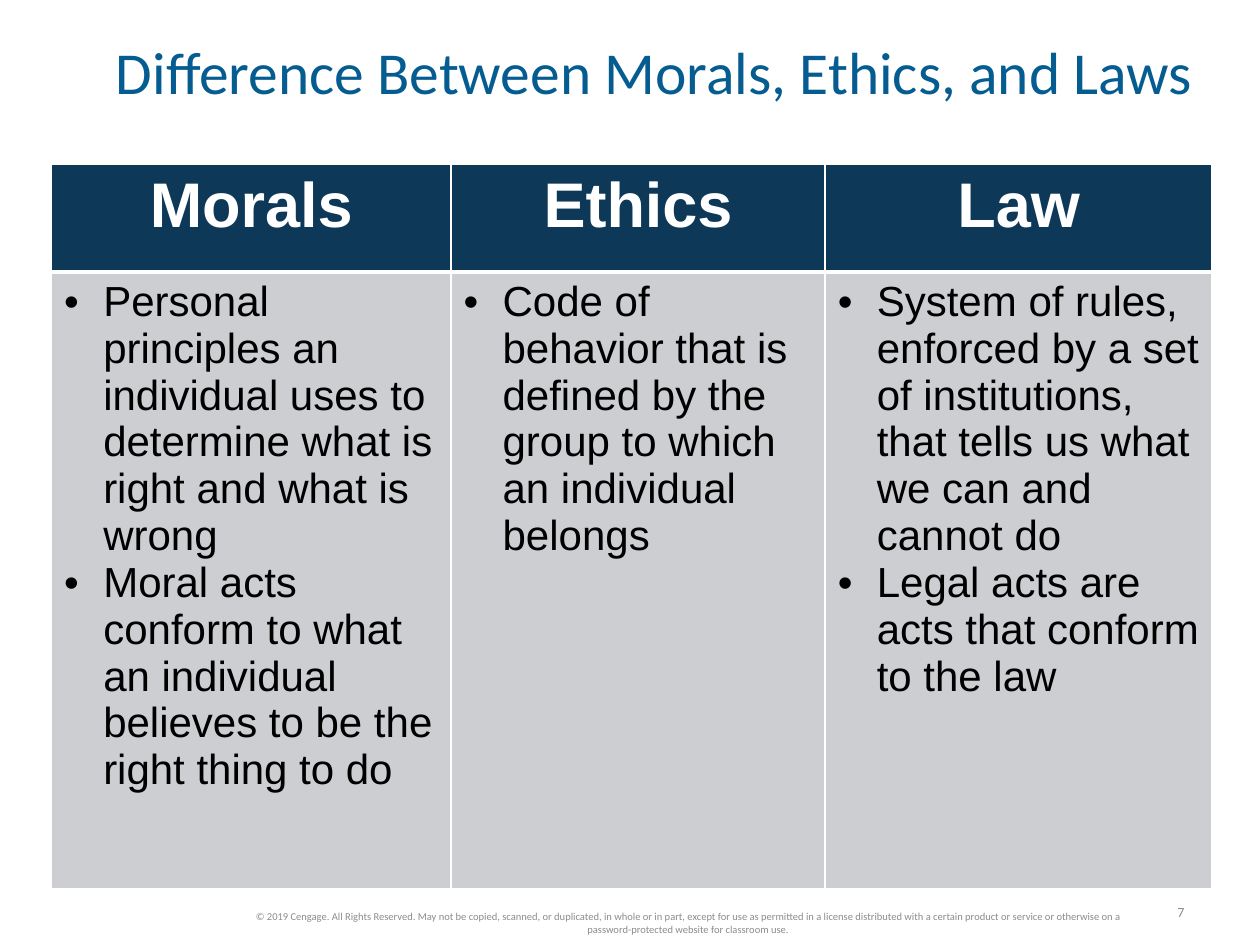
from lxml import etree
from pptx import Presentation
from pptx.dml.color import RGBColor
from pptx.enum.text import MSO_ANCHOR, PP_ALIGN
from pptx.oxml.ns import qn
from pptx.util import Inches, Pt

LEFT, CENTER, RIGHT = PP_ALIGN.LEFT, PP_ALIGN.CENTER, PP_ALIGN.RIGHT
MIDDLE = MSO_ANCHOR.MIDDLE
NAVY, PALE, WHITE, BLACK = "0D3857", "CCCED1", "FFFFFF", "000000"
BLUE, GRAY = "055C91", "8C8C8C"
COLUMN_WIDTHS = [3.17, 2.97, 3.07]
ROW_HEIGHTS = [0.86, 4.89]
CONCEPTS = {
    "Morals": [
        "Personal principles an individual uses to determine what is right and what is wrong",
        "Moral acts conform to what an individual believes to be the right thing to do",
    ],
    "Ethics": [
        "Code of behavior that is defined by the group to which an individual belongs",
    ],
    "Law": [
        "System of rules, enforced by a set of institutions, that tells us what we can and cannot do",
        "Legal acts are acts that conform to the law",
    ],
}
COPYRIGHT = (
    "© 2019 Cengage. All Rights Reserved. May not be copied, scanned, or duplicated, "
    "in whole or in part, except for use as permitted in a license distributed with a "
    "certain product or service or otherwise on a password-protected website for classroom use."
)


def color(value):
    """Return the colour for a hex string."""
    return RGBColor.from_string(value)


def format_para(para, size, font, hex_color, align=LEFT, bold=False):
    """Align a paragraph and style its runs."""
    para.alignment = align
    for span in para.runs:
        span.font.size = Pt(size)
        span.font.name = font
        span.font.bold = bold
        span.font.color.rgb = color(hex_color)


def add_text(page, text, bounds, size, hex_color, align=LEFT, wrap=True, margins=None):
    """Add a vertically centred Calibri text box and return its paragraph."""
    box = page.shapes.add_textbox(*map(Inches, bounds))
    frame = box.text_frame
    frame.text = text
    frame.word_wrap = wrap
    frame.vertical_anchor = MIDDLE
    if margins is not None:
        frame.margin_left = frame.margin_right = Inches(margins)
        frame.margin_top = frame.margin_bottom = Inches(margins)
    para = frame.paragraphs[0]
    format_para(para, size, "Calibri", hex_color, align)
    return para


def add_bullet(para):
    """Give a paragraph a hanging round bullet."""
    properties = para._p.get_or_add_pPr()
    properties.set("marL", str(Inches(0.31)))
    properties.set("indent", str(-Inches(0.31)))
    etree.SubElement(properties, qn("a:buFont")).set("typeface", "Arial")
    etree.SubElement(properties, qn("a:buChar")).set("char", "•")


def style_cell(cell, fill, top=1, bottom=1):
    """Fill a cell and draw its white borders."""
    cell.fill.solid()
    cell.fill.fore_color.rgb = color(fill)
    properties = cell._tc.get_or_add_tcPr()
    widths = {"a:lnL": 1, "a:lnR": 1, "a:lnT": top, "a:lnB": bottom}
    for index, (side, width) in enumerate(widths.items()):
        line = etree.Element(qn(side), w=str(Pt(width)))
        solid = etree.SubElement(line, qn("a:solidFill"))
        etree.SubElement(solid, qn("a:srgbClr")).set("val", WHITE)
        properties.insert(index, line)


def add_comparison(page):
    """Add the table with one column for each concept."""
    bounds = (0.41, 1.3, sum(COLUMN_WIDTHS), sum(ROW_HEIGHTS))
    table = page.shapes.add_table(2, len(CONCEPTS), *map(Inches, bounds)).table
    table.horz_banding = False
    for row, height in zip(table.rows, ROW_HEIGHTS):
        row.height = Inches(height)
    for index, (concept, points) in enumerate(CONCEPTS.items()):
        table.columns[index].width = Inches(COLUMN_WIDTHS[index])
        heading, body = table.cell(0, index), table.cell(1, index)
        heading.text_frame.text = concept
        format_para(heading.text_frame.paragraphs[0], 36, "Arial", WHITE, CENTER, True)
        style_cell(heading, NAVY, bottom=3)
        body.text_frame.text = "\n".join(points)
        for para in body.text_frame.paragraphs:
            add_bullet(para)
            format_para(para, 24, "Arial", BLACK)
        style_cell(body, PALE, top=3)


def main():
    """Build and save the slide."""
    deck = Presentation()
    deck.slide_width, deck.slide_height = Inches(10), Inches(7.5)
    page = deck.slides.add_slide(deck.slide_layouts[6])
    add_text(page, "7", (9.16, 7.12, 0.34, 0.24), 8, GRAY, RIGHT, wrap=False)
    add_comparison(page)
    title = add_text(page, "Difference Between Morals, Ethics, and Laws",
                     (0.92, 0.36, 8.69, 0.49), 34, BLUE, margins=0)
    title.line_spacing = 0.85
    add_text(page, COPYRIGHT, (1.75, 7.19, 7.42, 0.27), 6, GRAY, CENTER)
    deck.save("out.pptx")


if __name__ == "__main__":
    main()
